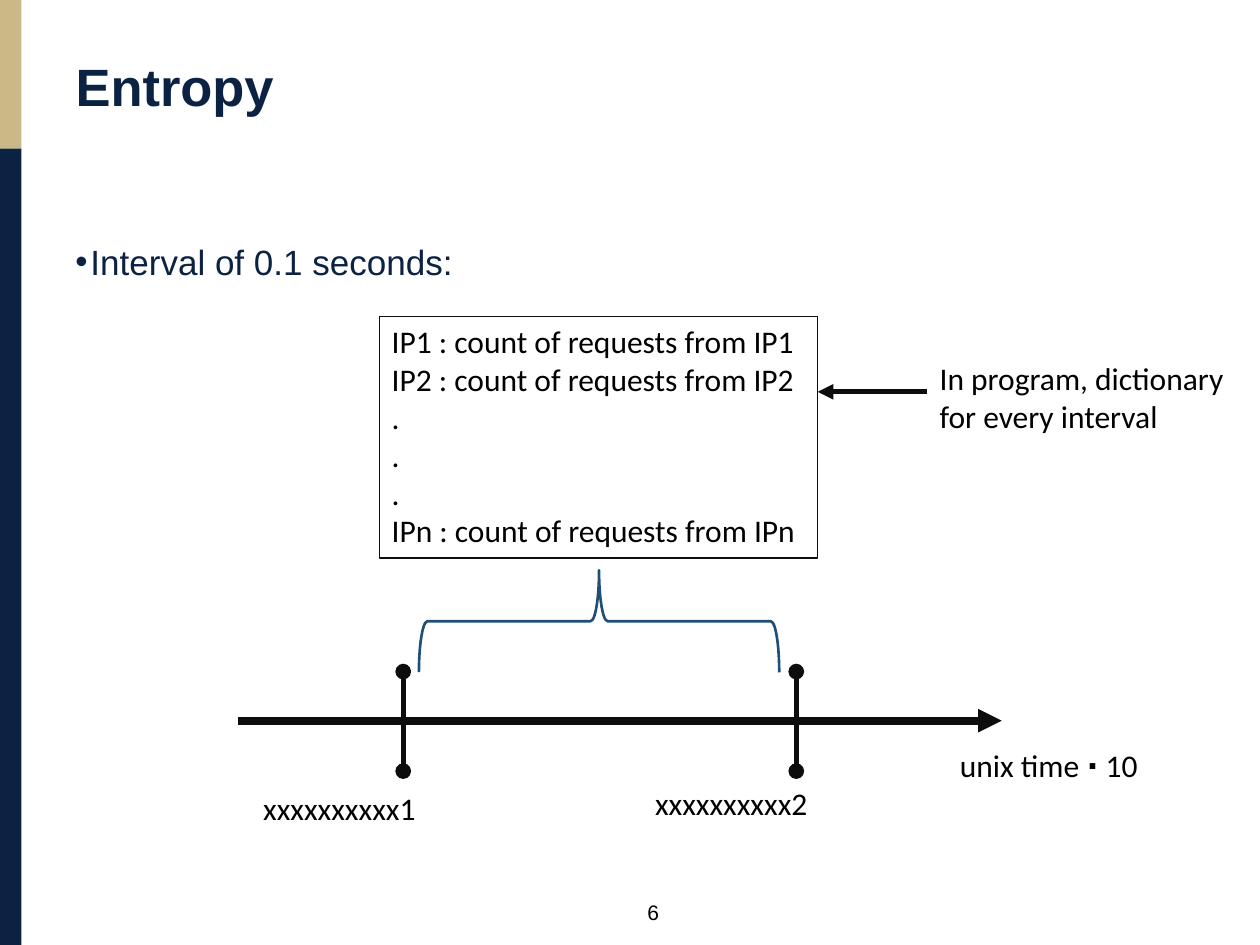
from dataclasses import dataclass

from lxml import etree
from pptx import Presentation
from pptx import util as u
from pptx.dml.color import RGBColor
from pptx.enum import shapes, text
from pptx.oxml.ns import qn


@dataclass(frozen=True)
class Theme:
    navy: str = "0B2242"
    tan: str = "CAB986"
    ink: str = "0D0D0D"
    black: str = "000000"
    brace: str = "1F4E79"
    head_font: str = "Arial"
    label_font: str = "Calibri"
    title: int = 30
    bullet: int = 20
    label: int = 18
    number: int = 12


@dataclass(frozen=True)
class Box:
    """Place on the grid, in columns and rows."""
    x: float
    y: float
    w: float
    h: float


@dataclass(frozen=True)
class Label:
    box: Box
    words: str
    wrap: bool = False


@dataclass(frozen=True)
class Line:
    start: tuple[float, float]
    end: tuple[float, float]
    weight: float
    head: str | None = None
    tail: str | None = None


T = Theme()
COLUMNS, ROWS = 100, 75
AXIS_Y = 57.2
TICKS = (32, 63.2)

prs = Presentation()
prs.slide_width, prs.slide_height = u.Inches(10), u.Inches(7.5)
s = prs.slides.add_slide(prs.slide_layouts[5])


def col(n: float) -> int:
    return round(prs.slide_width * n / COLUMNS)


def row(n: float) -> int:
    return round(prs.slide_height * n / ROWS)


def frame(b: Box) -> tuple[int, int, int, int]:
    return col(b.x), row(b.y), col(b.w), row(b.h)


def style(tf, size: int, font: str, color: str, bold: bool = False) -> None:
    for p in tf.paragraphs:
        for r in p.runs:
            r.font.size, r.font.name, r.font.bold = u.Pt(size), font, bold
            r.font.color.rgb = RGBColor.from_string(color)


def add_shape(kind, b: Box, fill: str | None = None,
              line: str | None = None, weight: float = 0.75):
    sp = s.shapes.add_shape(kind, *frame(b))
    sp.shadow.inherit = False
    if fill:
        sp.fill.solid()
        sp.fill.fore_color.rgb = RGBColor.from_string(fill)
    else:
        sp.fill.background()
    if line:
        sp.line.color.rgb = RGBColor.from_string(line)
        sp.line.width = u.Pt(weight)
    else:
        sp.line.fill.background()
    return sp


def add_label(label: Label, size: int = T.label, font: str = T.label_font):
    tf = s.shapes.add_textbox(*frame(label.box)).text_frame
    tf.word_wrap = label.wrap
    tf.text = label.words
    style(tf, size, font, T.black)
    return tf


def add_line(line: Line) -> None:
    (x1, y1), (x2, y2) = line.start, line.end
    cn = s.shapes.add_connector(shapes.MSO_CONNECTOR.STRAIGHT,
                                col(x1), row(y1), col(x2), row(y2))
    cn.line.color.rgb = RGBColor.from_string(T.ink)
    cn.line.width = u.Pt(line.weight)
    ln = cn.line._get_or_add_ln()
    for tag, end in (("a:headEnd", line.head), ("a:tailEnd", line.tail)):
        if end:
            etree.SubElement(ln, qn(tag), type=end)
    etree.SubElement(cn._element.spPr, qn("a:effectLst"))


def add_bullet(b: Box, words: str) -> None:
    tf = s.shapes.add_textbox(*frame(b)).text_frame
    tf.word_wrap = True
    tf.text = words
    pPr = tf.paragraphs[0]._p.get_or_add_pPr()
    indent = u.Inches(0.12)
    pPr.set("marL", str(indent))
    pPr.set("indent", str(-indent))
    etree.SubElement(pPr, qn("a:buFont"), typeface=T.head_font)
    etree.SubElement(pPr, qn("a:buChar"), char="•")
    style(tf, T.bullet, T.head_font, T.navy)


# Side band
RECT = shapes.MSO_SHAPE.RECTANGLE
band_split = 11.8
add_shape(RECT, Box(0, 0, 1.7, band_split), T.tan)
add_shape(RECT, Box(0, band_split, 1.7, ROWS - band_split), T.navy)

# Title and bullet
title = s.shapes.title
title.left, title.top, title.width, title.height = frame(Box(5, 4.6, 38.6, 6.8))
tf = title.text_frame
tf.text = "Entropy"
tf.vertical_anchor = text.MSO_ANCHOR.TOP
tf.paragraphs[0].alignment = text.PP_ALIGN.LEFT
tf.paragraphs[0].line_spacing = u.Pt(30)
style(tf, T.title, T.head_font, T.navy, bold=True)
add_bullet(Box(5, 18.6, 90, 41.2), "Interval of 0.1 seconds:")

# Time axis with its interval ticks, and the arrow from the note
for line in (
    Line((73.6, 31.1), (64.9, 31.1), 3, tail="triangle"),
    Line((18.9, AXIS_Y), (79.5, AXIS_Y), 4.5, tail="triangle"),
    *(Line((x, AXIS_Y + 4), (x, AXIS_Y - 3.9), 3, "oval", "oval") for x in TICKS),
):
    add_line(line)

# Brace over the interval
brace = add_shape(shapes.MSO_SHAPE.RIGHT_BRACE, Box(43.5, 35, 8.1, 28.6),
                  line=T.brace, weight=1.5)
brace.rotation = 270

# Request counts
counts = add_shape(RECT, Box(30.1, 25.1, 34.8, 19.2), line=T.ink)
tf = counts.text_frame
tf.word_wrap = True
tf.vertical_anchor = text.MSO_ANCHOR.TOP
entry = "IP{0} : count of requests from IP{0}".format
tf.text = "\n".join([entry(1), entry(2), *"...", entry("n")])
for p in tf.paragraphs:
    p.alignment = text.PP_ALIGN.LEFT
style(tf, T.label, T.label_font, T.black)

# Labels
for label in (
    Label(Box(73.6, 28, 24.6, 7.1), "In program, dictionary for every interval", True),
    Label(Box(19.9, 62.1, 16.8, 4), "xxxxxxxxxx1"),
    Label(Box(51, 61.7, 16.8, 4), "xxxxxxxxxx2"),
):
    add_label(label)

axis = add_label(Label(Box(75.2, 58.7, 17.2, 4), "unix time "))
for words in ("⋅", " 10"):
    axis.paragraphs[0].add_run().text = words
style(axis, T.label, T.label_font, T.black)
axis.paragraphs[0].runs[1].font.bold = True

# Page number
number = add_label(Label(Box(44.2, 70.9, 15.3, 3), "6", True), T.number, T.head_font)
number.paragraphs[0].alignment = text.PP_ALIGN.CENTER

prs.save("out.pptx")
